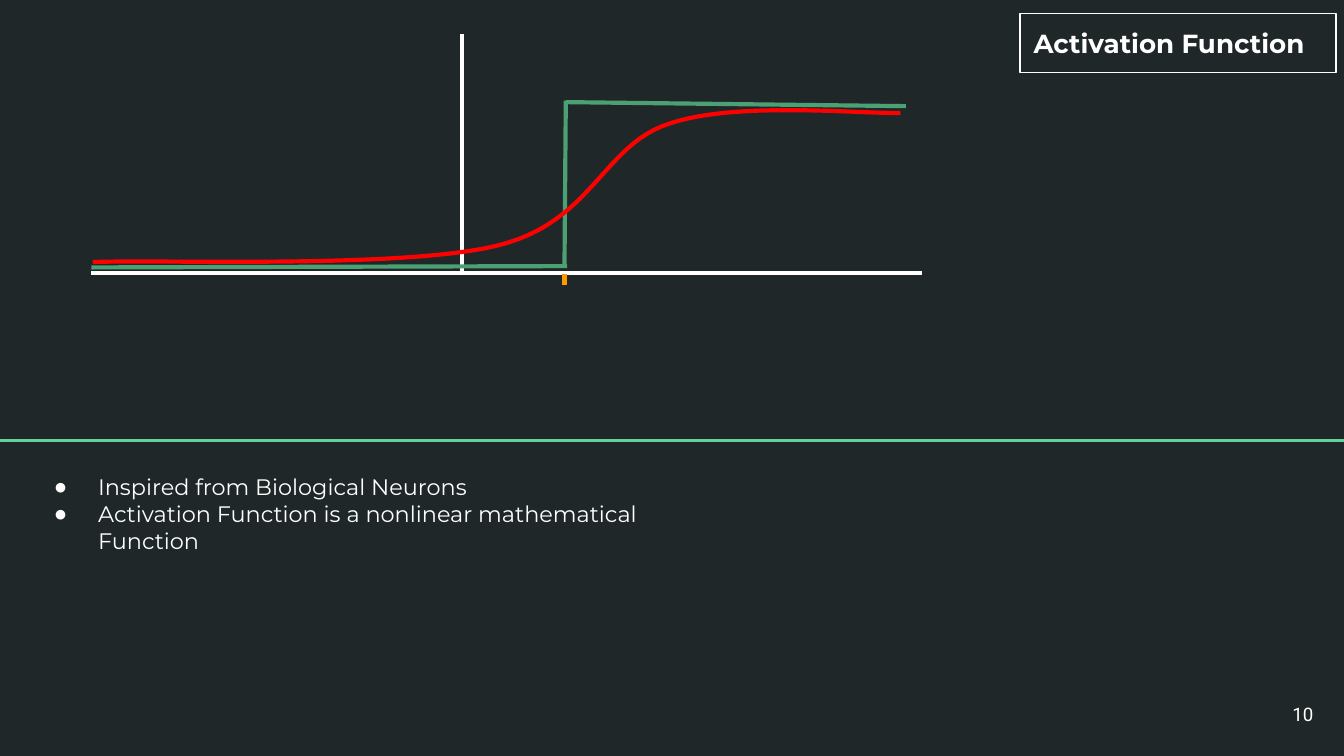
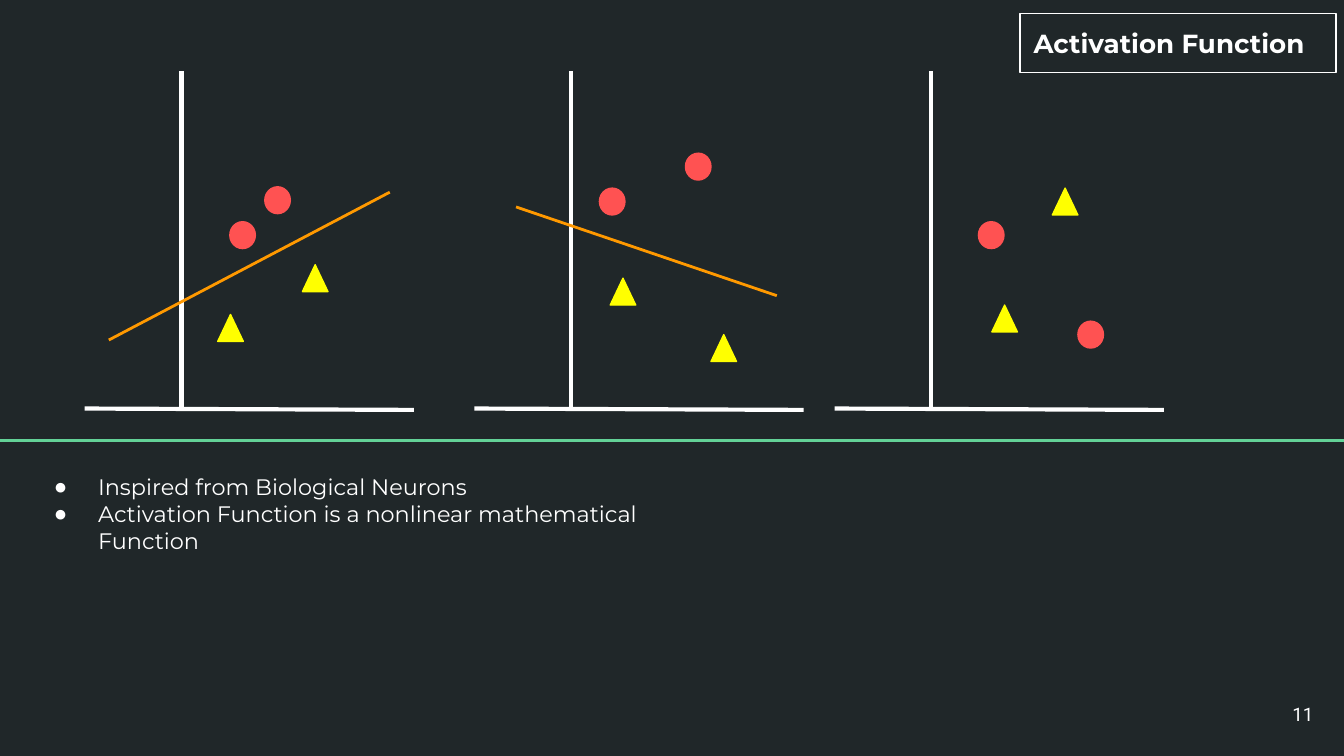
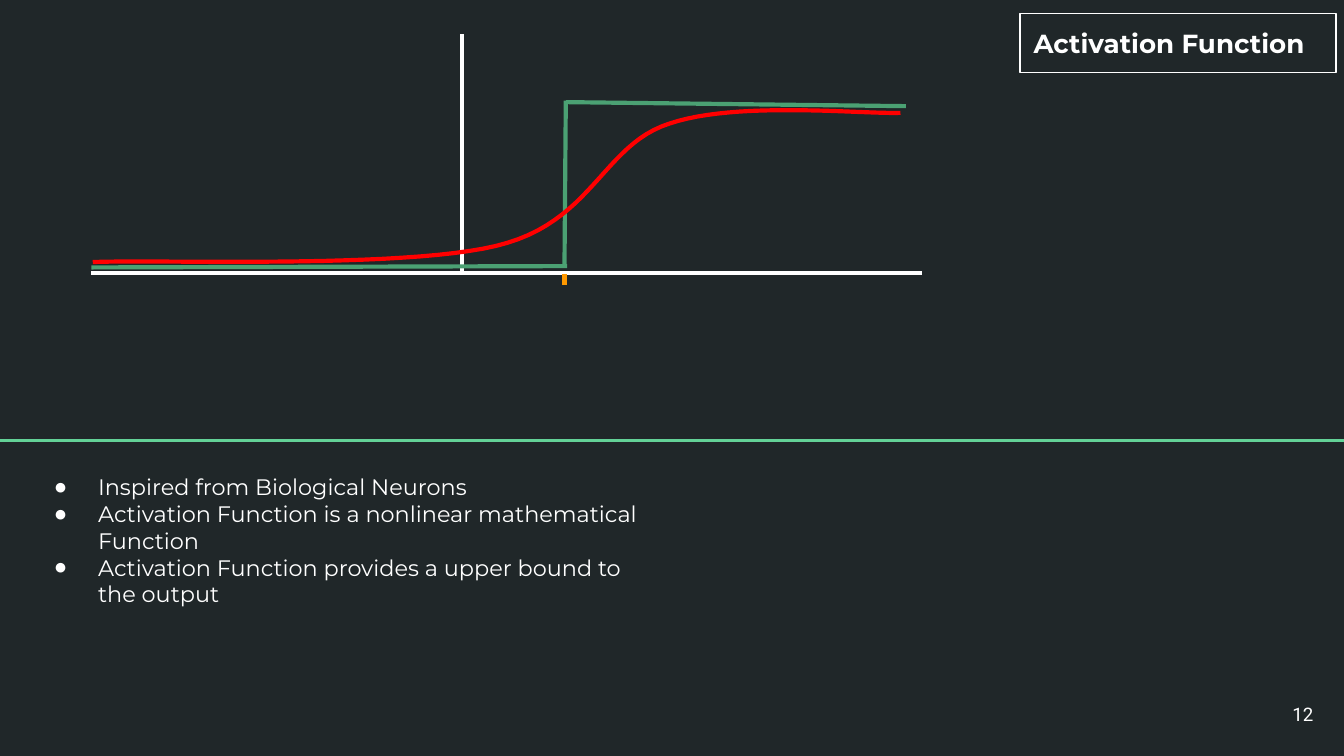
import pptx
import pptx.dml.color
import pptx.enum.shapes
import pptx.enum.text
import pptx.util
from lxml import etree
from pptx.oxml.ns import qn

Inches = pptx.util.Inches
Shape = pptx.enum.shapes.MSO_SHAPE
Anchor = pptx.enum.text.MSO_ANCHOR
Align = pptx.enum.text.PP_ALIGN

BACKGROUND, WHITE, DIVIDER = "202729", "FFFFFF", "63D297"
GREEN, RED, ORANGE = "4BA173", "FF0000", "FF9900"
CORAL, YELLOW = "FF5252", "FFFF00"
FONT, NUMBER_FONT = "Montserrat", "Roboto"

TITLE = "Activation Function"
POINTS = [
    "Inspired from Biological Neurons",
    "Activation Function is a nonlinear mathematical Function",
    "Activation Function provides a upper bound to the output",
]

# Sigmoid as cubic segments: start, then two controls and an end for each
SIGMOID_START = (0.69, 1.95)
SIGMOID_SEGMENTS = [
    ((1.19, 1.93), (2.98, 2.0), (3.69, 1.83)),
    ((4.41, 1.66), (4.48, 1.08), (4.98, 0.92)),
    ((5.48, 0.75), (6.41, 0.85), (6.7, 0.84)),
]

# Scatter panels: x values are measured from the left end of each panel
PANELS = [
    {"left": 0.63, "circles": [(1.34, 1.39), (1.08, 1.65)],
     "triangles": [(0.99, 2.34), (1.62, 1.97)],
     "boundary": [(0.18, 2.53), (2.27, 1.43)]},
    {"left": 3.53, "circles": [(1.57, 1.14), (0.93, 1.4)],
     "triangles": [(1.01, 2.07), (1.76, 2.49)],
     "boundary": [(0.31, 1.54), (2.25, 2.2)]},
    {"left": 6.21, "circles": [(1.81, 2.39), (1.07, 1.65)],
     "triangles": [(1.17, 2.27), (1.62, 1.4)],
     "boundary": None},
]


def color(value):
    return pptx.dml.color.RGBColor.from_string(value)


def bezier(start, control_1, control_2, end, steps=24):
    """Points along a cubic curve, without its start."""
    points = []
    for step in range(1, steps + 1):
        t = step / steps
        weights = ((1 - t) ** 3, 3 * t * (1 - t) ** 2, 3 * t ** 2 * (1 - t), t ** 3)
        corners = (start, control_1, control_2, end)
        points.append(tuple(sum(w * corner[axis] for w, corner in zip(weights, corners))
                            for axis in (0, 1)))
    return points


class Deck:
    """Holds the shared style and the current slide."""

    def __init__(self):
        self.presentation = pptx.Presentation()
        # Widescreen, 16:9
        self.presentation.slide_width = Inches(10)
        self.presentation.slide_height = Inches(10) * 9 // 16
        fill = self.presentation.slide_master.background.fill
        fill.solid()
        fill.fore_color.rgb = color(BACKGROUND)
        self.slide = None

    def add_slide(self, number, points):
        layout = self.presentation.slide_layouts[1]
        self.slide = self.presentation.slides.add_slide(layout)
        self.line((0, 3.28), (10, 3.28), DIVIDER, 1.5)
        self.title(TITLE)
        self.bullets(points)
        self.page_number(number)

    def place(self, shape, left, top, width, height):
        shape.left, shape.top = Inches(left), Inches(top)
        shape.width, shape.height = Inches(width), Inches(height)

    def outline(self, shape, line_color, width):
        shape.line.color.rgb = color(line_color)
        shape.line.width = pptx.util.Pt(width)

    def frame(self, shape, anchor=Anchor.TOP):
        text_frame = shape.text_frame
        text_frame.word_wrap = True
        text_frame.auto_size = pptx.enum.text.MSO_AUTO_SIZE.NONE
        text_frame.vertical_anchor = anchor
        text_frame.margin_left = text_frame.margin_right = Inches(0.1)
        text_frame.margin_top = text_frame.margin_bottom = Inches(0.1)
        return text_frame

    def format(self, paragraph, size, font=FONT, bold=False, align=Align.LEFT):
        paragraph.alignment = align
        paragraph.line_spacing = 1.0
        paragraph.space_before = pptx.util.Pt(0)
        for run in paragraph.runs:
            run.font.name = font
            run.font.size = pptx.util.Pt(size)
            run.font.bold = bold
            run.font.color.rgb = color(WHITE)

    def title(self, text):
        shape = self.slide.shapes.title
        self.place(shape, 7.59, 0.1, 2.35, 0.44)
        self.outline(shape, WHITE, 0.75)
        text_frame = self.frame(shape)
        text_frame.text = text
        self.format(text_frame.paragraphs[0], 14, bold=True)

    def bullets(self, points):
        shape = self.slide.placeholders[1]
        # Each wrapped point adds two lines of 0.2 inches
        self.place(shape, 0.13, 3.42, 4.87, 0.41 + 0.4 * (len(points) - 1))
        text_frame = self.frame(shape)
        text_frame.text = "\n".join(points)
        for paragraph in text_frame.paragraphs:
            self.format(paragraph, 12)
            properties = paragraph._p.get_or_add_pPr()
            properties.set("marL", str(Inches(0.5)))
            properties.set("indent", str(Inches(-0.33)))
            bullet_color = etree.SubElement(properties, qn("a:buClr"))
            etree.SubElement(bullet_color, qn("a:srgbClr"), val=WHITE)
            etree.SubElement(properties, qn("a:buSzPts"), val="1200")
            etree.SubElement(properties, qn("a:buChar"), char="●")

    def page_number(self, number):
        shape = self.slide.shapes.add_textbox(
            Inches(9.27), Inches(5.1), Inches(0.6), Inches(0.43))
        text_frame = self.frame(shape, Anchor.MIDDLE)
        text_frame.text = str(number)
        self.format(text_frame.paragraphs[0], 10, NUMBER_FONT, align=Align.RIGHT)

    def line(self, start, end, line_color, width=2.25):
        connector = self.slide.shapes.add_connector(
            pptx.enum.shapes.MSO_CONNECTOR.STRAIGHT,
            Inches(start[0]), Inches(start[1]), Inches(end[0]), Inches(end[1]))
        self.outline(connector, line_color, width)
        etree.SubElement(connector._element.spPr, qn("a:effectLst"))

    def marker(self, kind, left, top, fill_color):
        shape = self.slide.shapes.add_shape(
            kind, Inches(left), Inches(top), Inches(0.19), Inches(0.2))
        shape.shadow.inherit = False
        shape.fill.solid()
        shape.fill.fore_color.rgb = color(fill_color)
        self.outline(shape, fill_color, 0.75)

    def curve(self, start, segments, line_color):
        points = [start]
        for segment in segments:
            points += bezier(points[-1], *segment)
        points = [(Inches(x), Inches(y)) for x, y in points]
        builder = self.slide.shapes.build_freeform(*points[0])
        builder.add_line_segments(points[1:], close=False)
        shape = builder.convert_to_shape()
        shape.shadow.inherit = False
        shape.fill.background()
        self.outline(shape, line_color, 2.25)

    def step_and_sigmoid(self):
        # Axes
        self.line((0.68, 2.03), (6.86, 2.03), WHITE)
        self.line((3.44, 2.03), (3.44, 0.25), WHITE)
        # Step function and its threshold mark
        self.line((0.68, 1.99), (4.22, 1.98), GREEN)
        self.line((4.2, 1.98), (4.21, 0.75), GREEN)
        self.line((4.21, 0.76), (6.74, 0.79), GREEN)
        self.line((4.2, 2.04), (4.2, 2.12), ORANGE)
        # Smooth activation
        self.curve(SIGMOID_START, SIGMOID_SEGMENTS, RED)

    def scatter(self, panel):
        left = panel["left"]
        self.line((left, 3.04), (left + 2.45, 3.05), WHITE)
        self.line((left + 0.72, 3.04), (left + 0.72, 0.53), WHITE)
        for x, y in panel["circles"]:
            self.marker(Shape.OVAL, left + x, y, CORAL)
        for x, y in panel["triangles"]:
            self.marker(Shape.ISOSCELES_TRIANGLE, left + x, y, YELLOW)
        if panel["boundary"]:
            start, end = [(left + x, y) for x, y in panel["boundary"]]
            self.line(start, end, ORANGE, 1.5)


def main():
    deck = Deck()

    # Step function against sigmoid
    deck.add_slide(10, POINTS[:2])
    deck.step_and_sigmoid()

    # Separable and inseparable classes
    deck.add_slide(11, POINTS[:2])
    for panel in PANELS:
        deck.scatter(panel)

    # Upper bound of the output
    deck.add_slide(12, POINTS)
    deck.step_and_sigmoid()

    deck.presentation.save("out.pptx")


if __name__ == "__main__":
    main()
